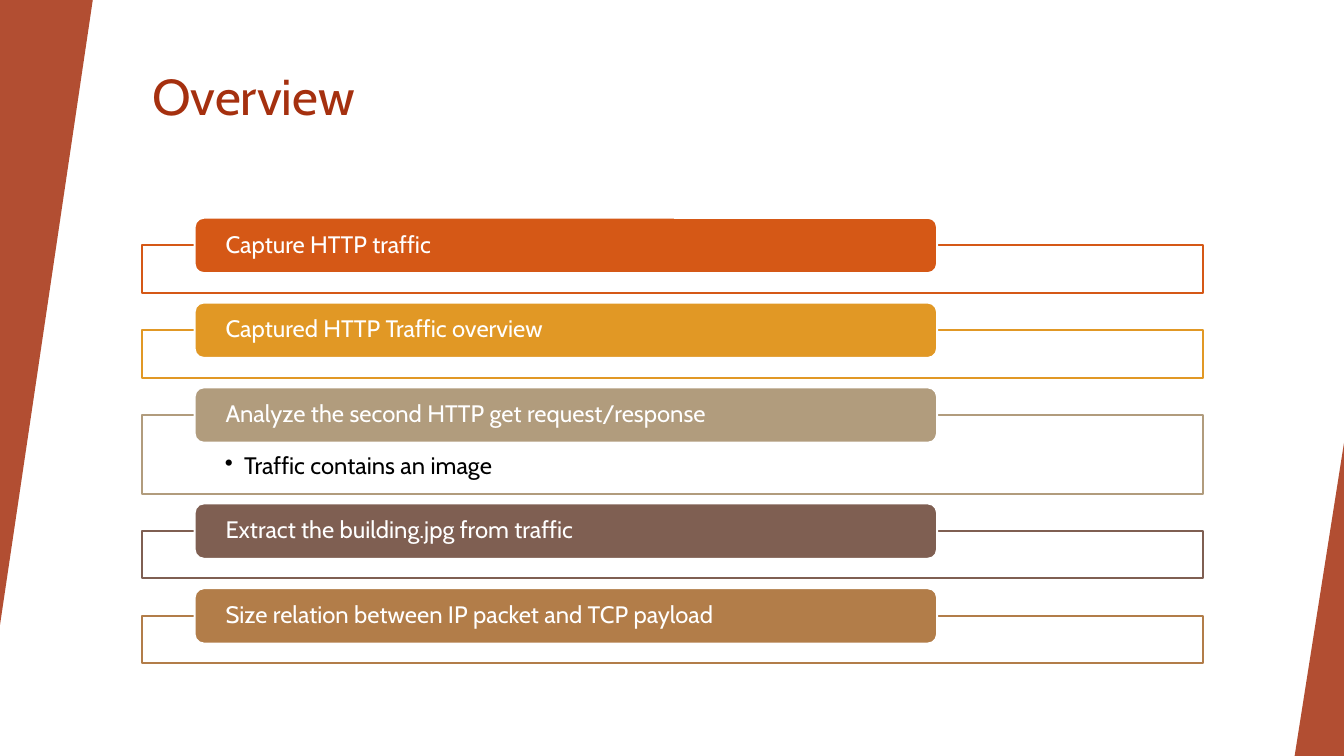
from dataclasses import dataclass

from lxml.etree import SubElement
from pptx import Presentation
from pptx.dml.color import RGBColor
from pptx.enum.shapes import MSO_SHAPE as Preset
from pptx.enum.text import MSO_ANCHOR as Anchor, PP_ALIGN as Align
from pptx.oxml.ns import qn
from pptx.util import Inches, Pt


@dataclass(frozen=True)
class Theme:
    font: str = "Cabin"
    accent: str = "A5300F"
    white: str = "FFFFFF"
    black: str = "000000"
    title_size: int = 36
    item_size: int = 17
    line_width: float = 1.5
    wedge_opacity: int = 85
    frame_opacity: int = 90


@dataclass(frozen=True)
class Box:
    left: float
    top: float
    width: float
    height: float

    def lengths(self):
        return [Inches(side) for side in (self.left, self.top, self.width, self.height)]


THEME = Theme()
ITEMS = [
    ("Capture HTTP traffic", "D55816", None),
    ("Captured HTTP Traffic overview", "E19825", None),
    ("Analyze the second HTTP get request/response", "B19C7D", "Traffic contains an image"),
    ("Extract the building.jpg from traffic", "7F5F52", None),
    ("Size relation between IP packet and TCP payload", "B27D49", None),
]


def add_panel(page, preset, box, fill, line=None, opacity=100):
    panel = page.shapes.add_shape(preset, *box.lengths())
    panel.shadow.inherit = False
    panel.fill.solid()
    panel.fill.fore_color.rgb = RGBColor.from_string(fill)
    if opacity < 100:
        color = panel.fill._xPr.find(qn("a:solidFill"))[0]
        SubElement(color, qn("a:alpha"), val=str(opacity * 1000))
    if line:
        panel.line.color.rgb = RGBColor.from_string(line)
        panel.line.width = Pt(THEME.line_width)
    else:
        panel.line.fill.background()
    return panel


def write_text(shape, text, size, color, anchor, insets, bullet=False):
    frame = shape.text_frame
    frame.word_wrap = True
    frame.vertical_anchor = anchor
    frame.margin_left, frame.margin_top, frame.margin_right, frame.margin_bottom = [
        Inches(inset) for inset in insets
    ]
    para = frame.paragraphs[0]
    para.alignment = Align.LEFT
    para.line_spacing = 0.9
    if bullet:
        props = para._p.get_or_add_pPr()
        props.set("marL", str(Inches(0.19)))
        props.set("indent", str(Inches(-0.19)))
        SubElement(props, qn("a:buChar"), char="•")
    span = para.add_run()
    span.text = text
    span.font.name = THEME.font
    span.font.size = Pt(size)
    span.font.color.rgb = RGBColor.from_string(color)


def add_side_wedges(page, box):
    left = Box(box.left, box.top, 0.92, 6.2)
    width, height = 0.49, 3.11
    right = Box(box.left + box.width - width, box.top + box.height - height, width, height)
    for place, rotation in ((left, 180), (right, 0)):
        wedge = add_panel(page, Preset.ISOSCELES_TRIANGLE, place, THEME.accent,
                          opacity=THEME.wedge_opacity)
        wedge.adjustments[0] = 1.0
        wedge.rotation = rotation


def add_title(page, box):
    title = page.shapes.add_textbox(*box.lengths())
    write_text(title, "Overview", THEME.title_size, THEME.accent, Anchor.TOP,
               (0.1, 0.05, 0.1, 0.05))


def add_agenda(page, box):
    bar_height = 0.55
    overlap = bar_height / 2
    heights = [0.78 if detail else 0.47 for _, _, detail in ITEMS]
    gap = (box.height - overlap - sum(heights)) / (len(ITEMS) - 1)
    top = box.top + overlap
    for (heading, color, detail), height in zip(ITEMS, heights):
        outline = add_panel(page, Preset.RECTANGLE, Box(box.left, top, box.width, height),
                            THEME.white, color, THEME.frame_opacity)
        if detail:
            write_text(outline, detail, THEME.item_size, THEME.black, Anchor.TOP,
                       (0.82, 0.39, 0.82, 0.13), bullet=True)
        bar = add_panel(page, Preset.ROUNDED_RECTANGLE,
                        Box(box.left + 0.52, top - overlap, box.width * 0.7, bar_height),
                        color, THEME.white)
        write_text(bar, heading, THEME.item_size, THEME.white, Anchor.MIDDLE,
                   (0.28, 0, 0.28, 0))
        top += height + gap


def main():
    deck = Presentation()
    deck.slide_width, deck.slide_height = Inches(13.33), Inches(7.5)
    page = deck.slides.add_slide(deck.slide_layouts[6])
    add_title(page, Box(1.41, 0.67, 11.15, 1.2))
    add_side_wedges(page, Box(0, 0, 13.33, 7.5))
    add_agenda(page, Box(1.41, 2.16, 10.52, 4.42))
    deck.save("out.pptx")


if __name__ == "__main__":
    main()
